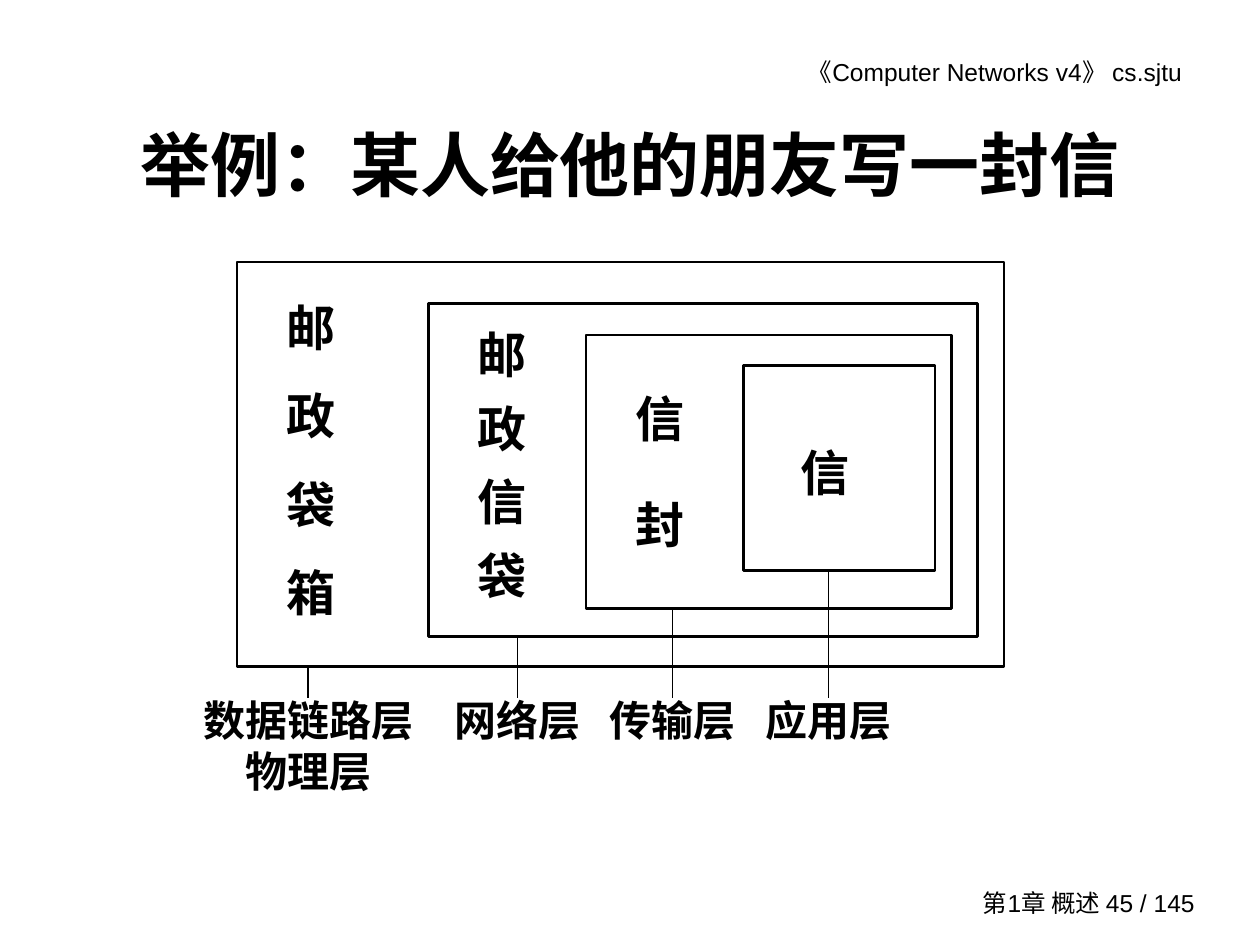
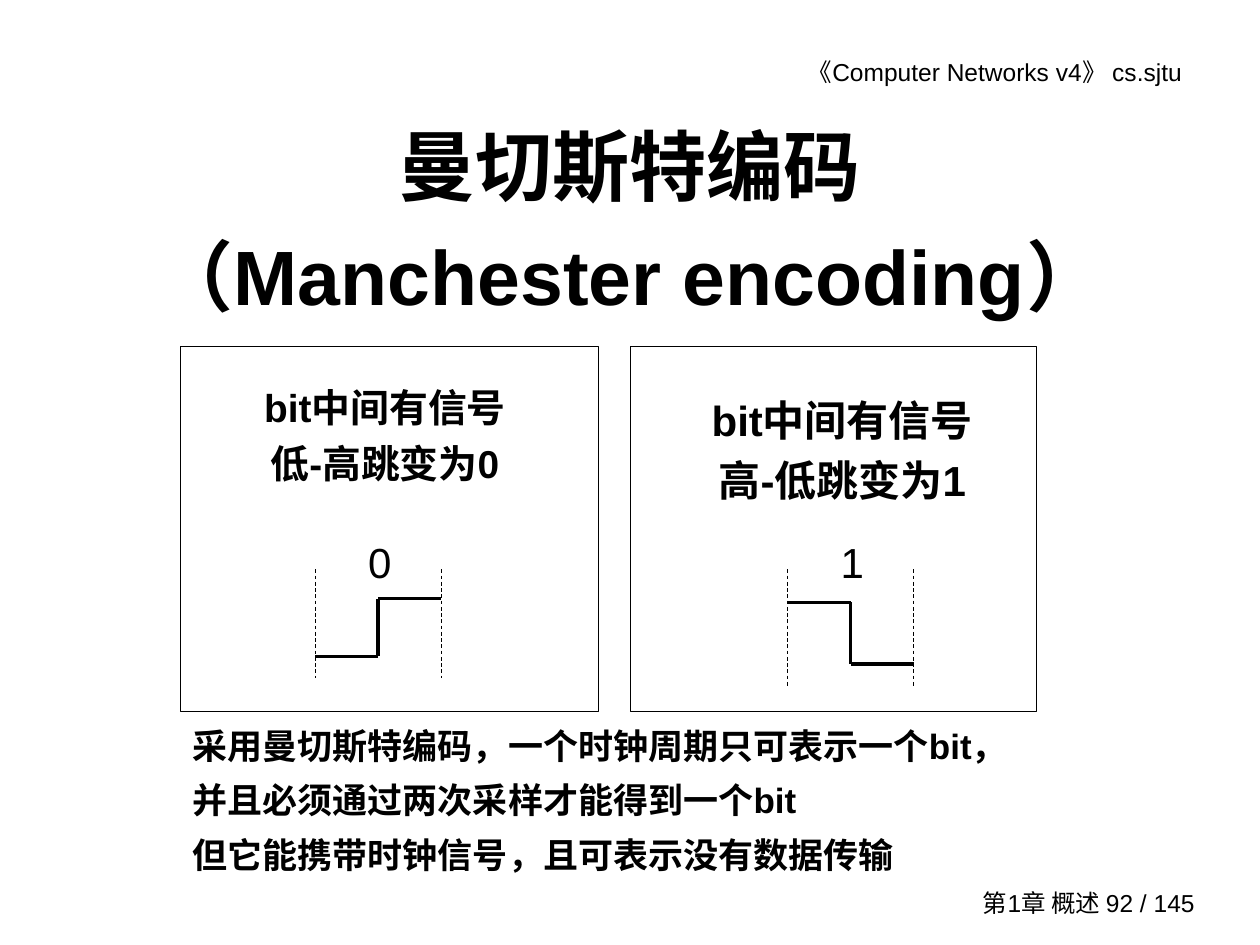
from dataclasses import dataclass

from lxml import etree
from pptx import Presentation
from pptx.dml.color import RGBColor
from pptx.enum.dml import MSO_LINE
from pptx.enum.shapes import MSO_CONNECTOR, MSO_SHAPE
from pptx.enum.text import MSO_ANCHOR, PP_ALIGN
from pptx.oxml.ns import qn
from pptx.util import Inches, Pt

LEFT, CENTER, RIGHT, JUSTIFY = PP_ALIGN.LEFT, PP_ALIGN.CENTER, PP_ALIGN.RIGHT, PP_ALIGN.JUSTIFY
TOP, MIDDLE = MSO_ANCHOR.TOP, MSO_ANCHOR.MIDDLE
DASH = MSO_LINE.DASH
STRAIGHT = MSO_CONNECTOR.STRAIGHT
RECTANGLE = MSO_SHAPE.RECTANGLE
LABEL_TOP = 0


@dataclass(frozen=True)
class Theme:
    ink: RGBColor = RGBColor(0, 0, 0)
    paper: RGBColor = RGBColor(255, 255, 255)
    sans: str = "Arial"
    serif: str = "Times New Roman"
    cjk: str = "Noto Sans CJK SC"
    small: float = 14
    note: float = 20
    rule_left: float = 22.2
    label: float = 24
    layer: float = 28
    title: float = 40
    title_large: float = 44
    hairline: float = 0.5
    leader: float = 0.75
    frame: float = 1.5
    signal: float = 2


THEME = Theme()


def write(frame, paragraphs, size, bold=False, align=LEFT, anchor=TOP, spacing=1.0,
          before=0, after=0, insets=(0.1, 0.1), fonts=None, wrap=True):
    frame.word_wrap = wrap
    frame.vertical_anchor = anchor
    frame.margin_left, frame.margin_right = (Inches(inset) for inset in insets)
    frame.margin_top = frame.margin_bottom = Inches(0.05)
    fonts = fonts or [THEME.sans] * len(paragraphs)
    for index, (lines, font_name) in enumerate(zip(paragraphs, fonts)):
        paragraph = frame.add_paragraph() if index else frame.paragraphs[0]
        paragraph.alignment = align
        paragraph.line_spacing = spacing
        paragraph.space_before = Pt(before if index else 0)
        paragraph.space_after = Pt(after)
        for number, line in enumerate(lines.split("\n")):
            if number:
                paragraph.add_line_break()
            run = paragraph.add_run()
            run.text = line
            run.font.size = Pt(size)
            run.font.bold = bold
            run.font.color.rgb = THEME.ink
            run.font.name = font_name
            east_asian = etree.SubElement(run.font._element, qn("a:ea"))
            east_asian.set("typeface", THEME.cjk)


def add_text(slide, box, paragraphs, size, **style):
    text = slide.shapes.add_textbox(*map(Inches, box))
    write(text.text_frame, paragraphs, size, **style)
    return text


def add_frame(slide, box, width):
    frame = slide.shapes.add_shape(RECTANGLE, *map(Inches, box))
    frame.shadow.inherit = False
    frame.fill.background()
    frame.line.color.rgb = THEME.ink
    frame.line.width = Pt(width)
    return frame


def add_line(slide, start, end, width, dash=None):
    line = slide.shapes.add_connector(STRAIGHT, *map(Inches, start + end))
    line.line.color.rgb = THEME.ink
    line.line.width = Pt(width)
    if dash:
        line.line.dash_style = dash
    etree.SubElement(line._element.spPr, qn("a:effectLst"))
    return line


def add_page(deck, number):
    slide = deck.slides.add_slide(deck.slide_layouts[6])
    slide.background.fill.solid()
    slide.background.fill.fore_color.rgb = THEME.paper
    add_text(slide, (5.35, 0.4, 4.23, 0.34), ["《Computer Networks v4》 cs.sjtu"],
             THEME.small, align=RIGHT, insets=(0.1, 0.2))
    add_text(slide, (7.5, 7, 2.08, 0.33), [f"第1章 概述 {number} / 145"],
             THEME.small, align=RIGHT, anchor=MIDDLE)
    return slide


def add_title(slide, height, title, size, font_name, spacing=1.0):
    add_text(slide, (0.75, 0.67, 8.5, height), [title], size, bold=True, align=CENTER,
             anchor=MIDDLE, spacing=spacing, fonts=[font_name])


def add_wrapper(slide, box, words, spacing, inset=0.39, align=JUSTIFY, serif_count=0):
    wrapper = add_frame(slide, box, THEME.frame)
    fonts = [THEME.serif if index < serif_count else THEME.sans for index in range(len(words))]
    write(wrapper.text_frame, words, THEME.layer, bold=True, align=align,
          spacing=spacing, insets=(inset, 0.1), fonts=fonts)


def add_layer(slide, box, names, wrapper_bottom):
    left, top, width, _ = box
    label = add_text(slide, box, names, THEME.label, bold=True, align=CENTER,
                     spacing=0.8, before=3, after=3, insets=(0.06, 0.06))
    middle = left + width / 2
    leader = add_line(slide, (middle, wrapper_bottom), (middle, top), THEME.leader)
    leader.end_connect(label, LABEL_TOP)


def add_nested_letter(slide, left, top):
    add_wrapper(slide, (left, top, 6.09, 3.21), "邮政袋箱", 1.5, serif_count=2)
    add_wrapper(slide, (left + 4.02, top + 0.82, 1.52, 1.63), "信", 2.2, inset=0.45, align=LEFT)
    add_wrapper(slide, (left + 2.77, top + 0.58, 2.9, 2.17), "信封", 1.8)
    add_wrapper(slide, (left + 1.52, top + 0.33, 4.36, 2.64), "邮政信袋", 1.25, serif_count=2)
    layers = [
        (4.02, 1.35, 0.5, ["应用层"], 2.45),
        (1.56, 1.33, 0.5, ["网络层"], 2.97),
        (-0.51, 2.15, 0.96, ["数据链路层", "物理层"], 3.21),
        (2.78, 1.36, 0.5, ["传输层"], 2.75),
    ]
    for shift, width, height, names, wrapper_bottom in layers:
        add_layer(slide, (left + shift, top + 3.46, width, height), names, top + wrapper_bottom)


def add_signal(slide, left, top, bit, levels, guide_height):
    half = 0.5
    middle, right = left + half, left + 2 * half
    first, second = (top + level for level in levels)
    for guide in (left, right):
        add_line(slide, (guide, top), (guide, top + guide_height), THEME.hairline, DASH)
    wave = [(left, first), (middle, first), (middle, second), (right, second)]
    for start, end in zip(wave, wave[1:]):
        add_line(slide, start, end, THEME.signal)
    add_text(slide, (left + 0.25, top - 0.38, 0.53, 0.63), [bit], THEME.label,
             align=CENTER, anchor=MIDDLE, wrap=False)


def add_bit_panel(slide, box, rule, rule_box, rule_size, bit, signal_left, levels, guide_height):
    left, top, _, _ = box
    add_frame(slide, box, THEME.hairline)
    shift, drop, width, height = rule_box
    add_text(slide, (left + shift, top + drop, width, height), [rule], rule_size,
             bold=True, align=CENTER, spacing=1.2)
    add_signal(slide, left + signal_left, top + 1.77, bit, levels, guide_height)


def build_letter_slide(deck):
    slide = add_page(deck, 45)
    add_title(slide, 1.25, "举例：某人给他的朋友写一封信", THEME.title, THEME.cjk)
    add_nested_letter(slide, 1.88, 2.08)


def build_manchester_slide(deck):
    slide = add_page(deck, 92)
    add_title(slide, 2, "曼切斯特编码\n（Manchester encoding）", THEME.title_large,
              THEME.sans, spacing=1.2)
    add_bit_panel(slide, (1.43, 2.75, 3.32, 2.9), "bit中间有信号低-高跳变为0",
                  (0.43, 0.17, 2.39, 1.28), THEME.rule_left, "0", 1.07, (0.69, 0.23), 0.86)
    add_bit_panel(slide, (5, 2.75, 3.23, 2.9), "bit中间有信号高-低跳变为1",
                  (0.48, 0.25, 2.41, 1.2), THEME.label, "1", 1.25, (0.26, 0.75), 0.93)
    notes = [
        "采用曼切斯特编码，一个时钟周期只可表示一个bit，并且必须通过两次采样才能得到一个bit",
        "但它能携带时钟信号，且可表示没有数据传输",
    ]
    add_text(slide, (1.43, 5.6, 6.8, 1.4), notes, THEME.note, bold=True, spacing=1.3)


def main():
    deck = Presentation()
    deck.slide_width, deck.slide_height = Inches(10), Inches(7.5)
    build_letter_slide(deck)
    build_manchester_slide(deck)
    deck.save("out.pptx")


if __name__ == "__main__":
    main()
